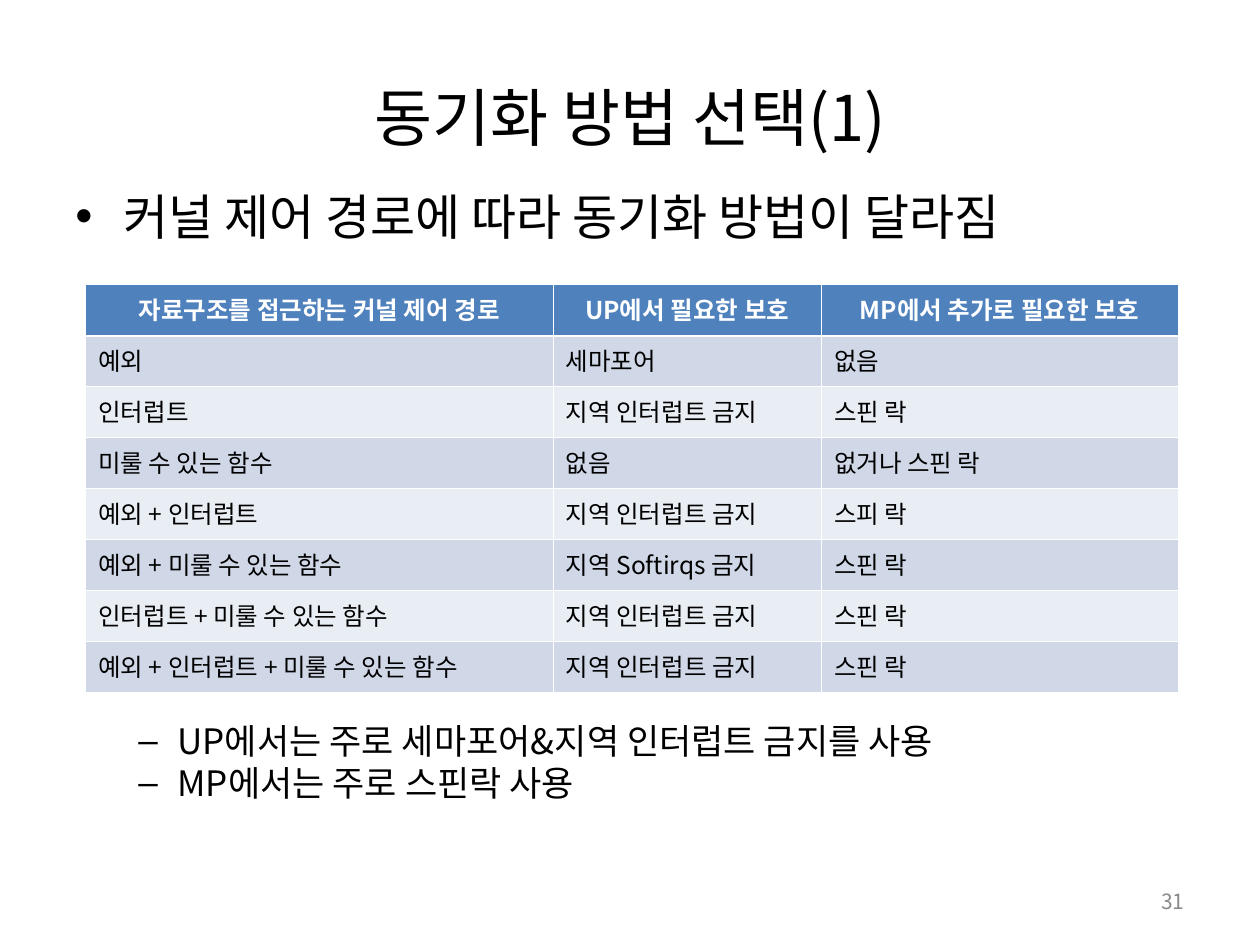
from dataclasses import dataclass

from lxml.etree import SubElement
from pptx import Presentation
from pptx.dml.color import RGBColor
from pptx.enum.text import MSO_ANCHOR, MSO_AUTO_SIZE, PP_ALIGN
from pptx.oxml.ns import qn
from pptx.util import Inches, Pt


@dataclass(frozen=True)
class Theme:
    font: str = "Noto Sans CJK KR"
    ink: str = "000000"
    muted: str = "898989"
    white: str = "FFFFFF"
    header: str = "4F81BD"
    bands: tuple = ("D0D8E8", "E9EDF4")
    title_size: int = 36
    body_size: int = 28
    detail_size: int = 20
    table_size: int = 14
    number_size: int = 12
    thin_border: float = 0.45
    header_border: float = 1.47


class SlideBuilder:
    COLUMNS = 40
    ROWS = 30

    def __init__(self, presentation, theme):
        self.theme = theme
        self.column = presentation.slide_width / self.COLUMNS
        self.row = presentation.slide_height / self.ROWS
        self.slide = presentation.slides.add_slide(presentation.slide_layouts[5])

    def area(self, left, top, width, height):
        return (round(left * self.column), round(top * self.row),
                round(width * self.column), round(height * self.row))

    def add_text(self, paragraph, text, size, color, bold=False):
        run = paragraph.add_run()
        run.text = text
        run.font.size = Pt(size)
        run.font.bold = bold
        run.font.name = self.theme.font
        run.font.color.rgb = RGBColor.from_string(color)
        SubElement(run.font._element, qn("a:ea"), typeface=self.theme.font)

    def title(self, text, area):
        shape = self.slide.shapes.title
        shape.left, shape.top, shape.width, shape.height = self.area(*area)
        frame = shape.text_frame
        frame.auto_size = MSO_AUTO_SIZE.NONE
        frame.vertical_anchor = MSO_ANCHOR.MIDDLE
        paragraph = frame.paragraphs[0]
        paragraph.alignment = PP_ALIGN.CENTER
        self.add_text(paragraph, text, self.theme.title_size, self.theme.ink)

    def text_box(self, area):
        frame = self.slide.shapes.add_textbox(*self.area(*area)).text_frame
        frame.word_wrap = True
        return frame

    def bullet(self, paragraph, symbol, margin, hanging):
        properties = paragraph._p.get_or_add_pPr()
        properties.set("marL", str(Inches(margin)))
        properties.set("indent", str(-Inches(hanging)))
        color = SubElement(properties, qn("a:buClr"))
        SubElement(color, qn("a:srgbClr"), val=self.theme.ink)
        SubElement(properties, qn("a:buFont"), typeface="Arial")
        SubElement(properties, qn("a:buChar"), char=symbol)

    def outline(self, area, heading, details, gap):
        frame = self.text_box(area)
        paragraph = frame.paragraphs[0]
        self.bullet(paragraph, "•", 0.38, 0.38)
        self.add_text(paragraph, heading, self.theme.body_size, self.theme.ink)
        for index, text in enumerate(details):
            paragraph = frame.add_paragraph()
            paragraph.level = 1
            self.bullet(paragraph, "–", 0.81, 0.31)
            paragraph.space_before = Pt(0 if index else gap)
            self.add_text(paragraph, text, self.theme.detail_size, self.theme.ink)

    def page_number(self, text, area):
        frame = self.text_box(area)
        frame.vertical_anchor = MSO_ANCHOR.MIDDLE
        paragraph = frame.paragraphs[0]
        paragraph.alignment = PP_ALIGN.RIGHT
        self.add_text(paragraph, text, self.theme.number_size, self.theme.muted)

    def borders(self, cell, row_index):
        theme = self.theme
        properties = cell._tc.get_or_add_tcPr()
        for side in "LRTB":
            below_header = (row_index, side) in ((0, "B"), (1, "T"))
            width = theme.header_border if below_header else theme.thin_border
            line = SubElement(properties, qn(f"a:ln{side}"), w=str(Pt(width)))
            fill = SubElement(line, qn("a:solidFill"))
            SubElement(fill, qn("a:srgbClr"), val=theme.white)

    def table(self, area, widths, records):
        theme = self.theme
        table = self.slide.shapes.add_table(
            len(records), len(widths), *self.area(*area)).table
        table.horz_banding = False
        for column, width in zip(table.columns, widths):
            column.width = round(width * self.column)
        for row_index, record in enumerate(records):
            is_header = row_index == 0
            background = theme.header if is_header else theme.bands[(row_index - 1) % 2]
            for column_index, text in enumerate(record):
                cell = table.cell(row_index, column_index)
                self.borders(cell, row_index)
                cell.fill.solid()
                cell.fill.fore_color.rgb = RGBColor.from_string(background)
                paragraph = cell.text_frame.paragraphs[0]
                paragraph.alignment = PP_ALIGN.CENTER if is_header else PP_ALIGN.LEFT
                self.add_text(paragraph, text, theme.table_size,
                              theme.white if is_header else theme.ink, is_header)


PROTECTIONS = [
    ("자료구조를 접근하는 커널 제어 경로", "UP에서 필요한 보호", "MP에서 추가로 필요한 보호"),
    ("예외", "세마포어", "없음"),
    ("인터럽트", "지역 인터럽트 금지", "스핀 락"),
    ("미룰 수 있는 함수", "없음", "없거나 스핀 락"),
    ("예외 + 인터럽트", "지역 인터럽트 금지", "스피 락"),
    ("예외 + 미룰 수 있는 함수", "지역 Softirqs 금지", "스핀 락"),
    ("인터럽트 + 미룰 수 있는 함수", "지역 인터럽트 금지", "스핀 락"),
    ("예외 + 인터럽트 + 미룰 수 있는 함수", "지역 인터럽트 금지", "스핀 락"),
]


def main():
    presentation = Presentation()
    presentation.slide_width = Inches(10)
    presentation.slide_height = Inches(7.5)
    builder = SlideBuilder(presentation, Theme())
    builder.title("동기화 방법 선택(1)", (2, 1.2, 36, 5))
    builder.outline(
        (2, 5.72, 36, 22.28),
        "커널 제어 경로에 따라 동기화 방법이 달라짐",
        ["UP에서는 주로 세마포어&지역 인터럽트 금지를 사용", "MP에서는 주로 스핀락 사용"],
        gap=271,
    )
    builder.page_number("31", (28.68, 27.8, 9.32, 1.6))
    builder.table((2.72, 9.04, 34.68, 12.96), (14.84, 8.52, 11.32), PROTECTIONS)
    presentation.save("out.pptx")


if __name__ == "__main__":
    main()
